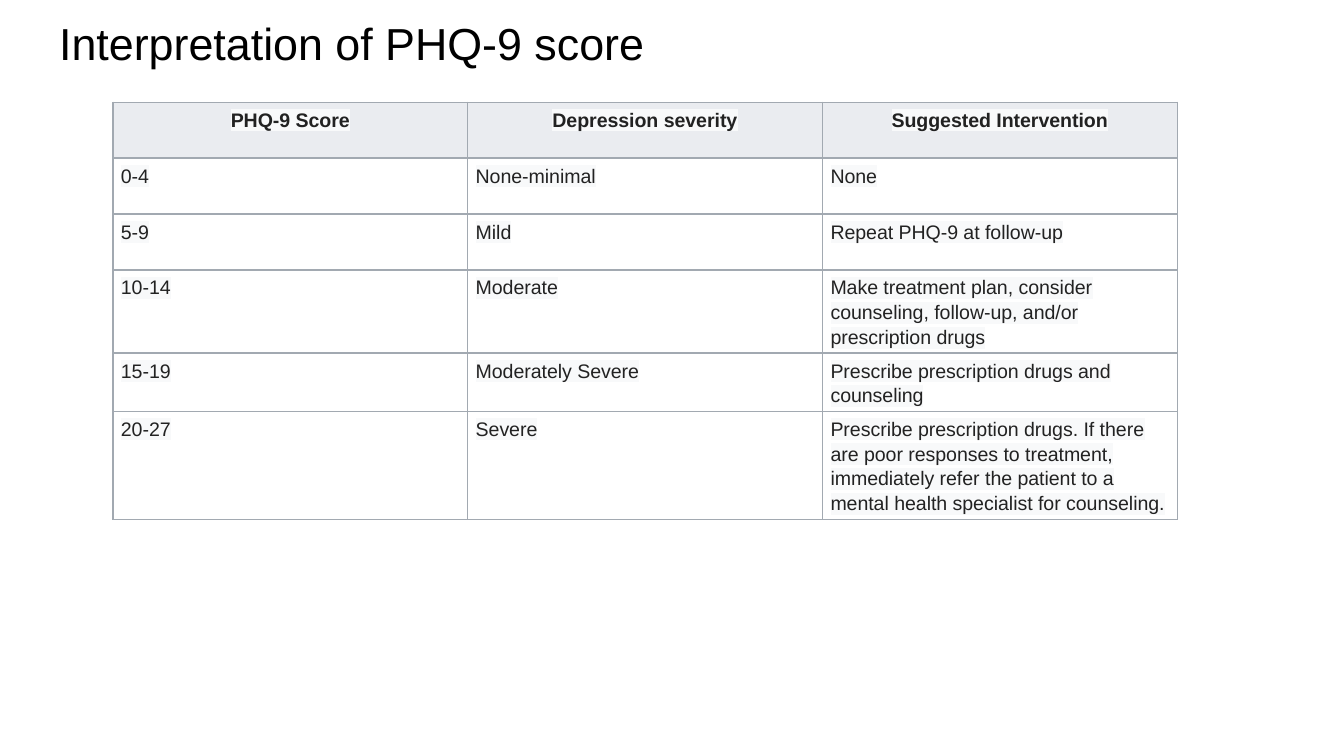
from dataclasses import dataclass

from lxml.etree import SubElement as Sub
from pptx import Presentation
from pptx.dml.color import RGBColor as Rgb
from pptx.enum.text import MSO_ANCHOR as Anchor, MSO_AUTO_SIZE as Fit, PP_ALIGN as Align
from pptx.oxml.ns import qn
from pptx.oxml.xmlchemy import OxmlElement as Node
from pptx.slide import Slide
from pptx.table import _Cell as Cell
from pptx.text.text import _Paragraph as Para
from pptx.util import Inches, Pt


@dataclass(frozen=True)
class Style:
    size: float
    color: str
    mark: str
    line: float
    before: float
    after: float


@dataclass(frozen=True)
class Theme:
    font: str = "Arial"
    title: Style = Style(24, "000000", "FFFFFF", 1.3, 17, 4)
    body: Style = Style(10.5, "222222", "F8F9FA", 1.15, 11, 11)
    head: str = "EAECF0"
    rule: str = "A2A9B1"
    width: float = 0.75


@dataclass(frozen=True)
class Level:
    score: str
    grade: str
    action: str


THEME = Theme()
HEAD = Level("PHQ-9 Score", "Depression severity", "Suggested Intervention")
LEVELS = [
    Level("0-4", "None-minimal", "None"),
    Level("5-9", "Mild", "Repeat PHQ-9 at follow-up"),
    Level("10-14", "Moderate",
          "Make treatment plan, consider counseling, follow-up, and/or prescription drugs"),
    Level("15-19", "Moderately Severe", "Prescribe prescription drugs and counseling"),
    Level("20-27", "Severe",
          "Prescribe prescription drugs. If there are poor responses to treatment, "
          "immediately refer the patient to a mental health specialist for counseling."),
]


def write(para: Para, text: str, style: Style, align: Align, bold: bool = False) -> None:
    """Fill a paragraph with highlighted text in the given style."""
    para.alignment = align
    para.line_spacing = style.line
    para.space_before, para.space_after = Pt(style.before), Pt(style.after)
    font = para.font
    font.name, font.size, font.bold = THEME.font, Pt(style.size), bold
    font.color.rgb = Rgb.from_string(style.color)
    run = para.add_run()
    run.text = text
    mark = Sub(run._r.get_or_add_rPr(), qn("a:highlight"))
    Sub(mark, qn("a:srgbClr"), val=style.mark)


def border(cell: Cell) -> None:
    """Rule all four sides of a cell."""
    props = cell._tc.get_or_add_tcPr()
    for spot, side in enumerate("LRTB"):
        line = Node(f"a:ln{side}")
        line.set("w", str(Pt(THEME.width)))
        Sub(Sub(line, qn("a:solidFill")), qn("a:srgbClr"), val=THEME.rule)
        props.insert(spot, line)


def draw_cell(cell: Cell, text: str, head: bool) -> None:
    """Draw one heading or body cell."""
    cell.margin_left = cell.margin_right = Inches(0.06)
    cell.margin_top = cell.margin_bottom = Inches(0.03)
    cell.vertical_anchor = Anchor.TOP
    if head:
        cell.fill.solid()
        cell.fill.fore_color.rgb = Rgb.from_string(THEME.head)
    else:
        cell.fill.background()
    border(cell)
    align = Align.CENTER if head else Align.LEFT
    write(cell.text_frame.paragraphs[0], text, THEME.body, align, head)


def draw_table(slide: Slide, levels: list[Level]) -> None:
    """Draw the heading row and one row for each level."""
    rows = [HEAD, *levels]
    table = slide.shapes.add_table(
        len(rows), 3, Inches(0.84), Inches(0.76), Inches(7.92), Inches(2.5)).table
    table.first_row = table.horz_banding = False
    for row, level in enumerate(rows):
        for col, text in enumerate((level.score, level.grade, level.action)):
            draw_cell(table.cell(row, col), text, row == 0)


def draw_title(slide: Slide, text: str) -> None:
    """Place and format the title."""
    title = slide.shapes.title
    title.left, title.top = Inches(0.34), Inches(-0.14)
    title.width, title.height = Inches(9.32), Inches(0.8)
    frame = title.text_frame
    frame.margin_left = frame.margin_right = Inches(0.1)
    frame.margin_top = frame.margin_bottom = Inches(0.1)
    frame.word_wrap, frame.auto_size = True, Fit.NONE
    frame.vertical_anchor = Anchor.MIDDLE
    write(frame.paragraphs[0], text, THEME.title, Align.LEFT)


def main() -> None:
    """Build and save the slide."""
    deck = Presentation()
    deck.slide_width = Inches(10)
    deck.slide_height = deck.slide_width * 9 // 16
    slide = deck.slides.add_slide(deck.slide_layouts[5])
    draw_title(slide, "Interpretation of PHQ-9 score")
    draw_table(slide, LEVELS)
    deck.save("out.pptx")


if __name__ == "__main__":
    main()
